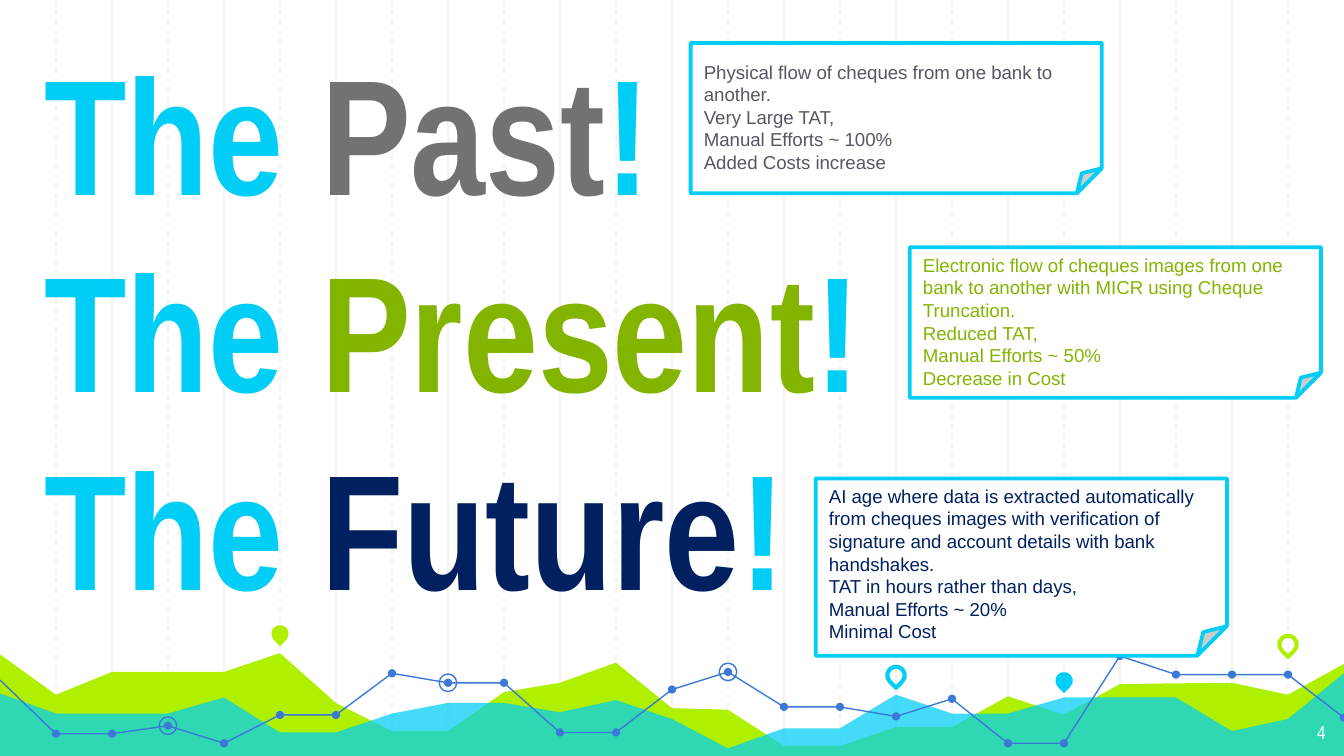
"""Build the Past, Present and Future slide on cheque processing."""
from lxml import etree
from pptx import Presentation
from pptx import util as u
from pptx.dml.color import RGBColor
from pptx.enum import dml, shapes, text
from pptx.oxml.ns import qn

Pt = u.Pt
CYAN, LIME, BLUE, WHITE = "00CEF6", "AFF000", "3C78D8", "FFFFFF"
GRAY, GREEN, NAVY = "727272", "83B400", "002060"
STEP = 30


def paint(fill, color=None):
    if color is None:
        fill.background()
    else:
        fill.solid()
        fill.fore_color.rgb = RGBColor.from_string(color)


def write(p, content, size=10, font="Arial", color=WHITE, bold=False,
          align=text.PP_ALIGN.LEFT, spacing=None):
    p.alignment = align
    if spacing:
        p.line_spacing = Pt(spacing)
    r = p.add_run()
    r.text = content
    r.font.size, r.font.name, r.font.bold = Pt(size), font, bold
    paint(r.font.fill, color)


prs = Presentation()
prs.slide_width, prs.slide_height = Pt(720), Pt(405)
s = prs.slides.add_slide(prs.slide_layouts[5])
paint(s.background.fill, WHITE)

for i in range(1, 24):
    grid = s.shapes.add_connector(shapes.MSO_CONNECTOR.STRAIGHT,
                                  Pt(STEP * i), 0, Pt(STEP * i), Pt(406.8))
    paint(grid.line.fill, "F3F3F3")
    grid.line.width = Pt(0.75)
    if i % 2:
        grid.line.dash_style = dml.MSO_LINE.DASH
    etree.SubElement(grid.element.spPr, qn("a:effectLst"))

lime_heights = [350.6, 372.2, 360, 360, 360, 349.9, 376.6, 391.7, 391.7,
                370.8, 365.8, 355, 379.4, 380.2, 399.6, 399.6, 389.5, 389.5,
                373, 383, 366.5, 366.1, 365.8, 372.2, 355.7]
cyan_heights = [371.5, 382.3, 382.3, 382.3, 373.7, 392.4, 392.4, 382.3, 376.6,
                376.6, 381.6, 375.1, 385.2, 401, 390.2, 390.2, 372.2, 382.3,
                382.3, 373.7, 373.7, 373.7, 391.7, 385.2, 360.7]
line_heights = [364.3, 393.1, 393.1, 388.8, 398.2, 383, 383, 360.7, 365.8,
                365.8, 392.4, 392.4, 369.4, 360, 378.7, 378.7, 383.8, 374.4,
                398.2, 398.2, 351.4, 361.4, 361.4, 361.4, 384.5]

for heights, color, closed in [(lime_heights, LIME, True),
                               (cyan_heights, CYAN, True),
                               (line_heights, BLUE, False)]:
    points = [(Pt(STEP * i), Pt(y)) for i, y in enumerate(heights)]
    if closed:
        points += [(Pt(720), Pt(406.5)), (0, Pt(406.5))]
    outline = s.shapes.build_freeform(*points[0], scale=1.0)
    outline.add_line_segments(points[1:], close=closed)
    sp = outline.convert_to_shape()
    sp.shadow.inherit = False
    paint(sp.fill, color if closed else None)
    paint(sp.line.fill, None if closed else color)
    if not closed:
        sp.line.width = Pt(0.75)
    if color == CYAN:
        rgb = sp.element.spPr.find(".//" + qn("a:srgbClr"))
        etree.SubElement(rgb, qn("a:alpha"), val="73000")

OVAL, PIN = shapes.MSO_SHAPE.OVAL, shapes.MSO_SHAPE.TEAR
markers = [(OVAL, i, y, 4.4, BLUE, None, 0)
           for i, y in enumerate(line_heights) if i]
markers += [(OVAL, i, line_heights[i], 9.4, None, BLUE, 0.75)
            for i in (3, 8, 13)]
markers += [(PIN, 5, 339.5, 9.4, LIME, None, 0),
            (PIN, 16, 361.8, 9.4, None, CYAN, 2.25),
            (PIN, 19, 364.7, 9.4, CYAN, None, 0),
            (PIN, 23, 345.2, 9.4, None, LIME, 2.25)]
for kind, i, y, size, fill, line, width in markers:
    sp = s.shapes.add_shape(kind, Pt(STEP * i - size / 2), Pt(y - size / 2),
                            Pt(size), Pt(size))
    sp.shadow.inherit = False
    paint(sp.fill, fill)
    paint(sp.line.fill, line)
    if line:
        sp.line.width = Pt(width)
    if kind == PIN:
        sp.rotation = 135

title = s.shapes.title
s.shapes.element.append(title.element)
title.left, title.top, title.width, title.height = (
    Pt(16.6), Pt(4.3), Pt(519.1), Pt(337))
tf = title.text_frame
tf.word_wrap, tf.auto_size = True, text.MSO_AUTO_SIZE.NONE
tf.vertical_anchor = text.MSO_ANCHOR.BOTTOM
tf.margin_left = tf.margin_right = tf.margin_top = tf.margin_bottom = Pt(7.2)
p = tf.paragraphs[0]
for n, (era, color) in enumerate([("Past", GRAY), ("Present", GREEN),
                                  ("Future", NAVY)]):
    if n:
        p.add_line_break()
    for part, shade in [("The ", CYAN), (era, color), ("!", CYAN)]:
        write(p, part, size=88, font="Arial Narrow", color=shade, bold=True,
              spacing=106)

number = s.shapes.add_textbox(Pt(674), Pt(380.2), Pt(43.2), Pt(25.2))
tf = number.text_frame
tf.word_wrap = True
tf.margin_left = tf.margin_right = tf.margin_top = tf.margin_bottom = Pt(7.2)
write(tf.paragraphs[0], "4", font="Arial Narrow", align=text.PP_ALIGN.RIGHT)

notes = [
    (370, 23, 80.6, "545864",
     ["Physical flow of cheques from one bank to another.",
      "Very Large TAT,", "Manual Efforts ~ 100%", "Added Costs increase"]),
    (487.4, 132.5, 80.6, GREEN,
     ["Electronic flow of cheques images from one bank to another with MICR "
      "using Cheque Truncation.",
      "Reduced TAT,", "Manual Efforts ~ 50%", "Decrease in Cost"]),
    (437, 256.3, 95, NAVY,
     ["AI age where data is extracted automatically from cheques images with "
      "verification of signature and account details with bank handshakes.",
      "TAT in hours rather than days,", "Manual Efforts ~ 20%",
      "Minimal Cost"]),
]
for left, top, height, color, lines in notes:
    note = s.shapes.add_shape(shapes.MSO_SHAPE.FOLDED_CORNER, Pt(left), Pt(top),
                              Pt(220.3), Pt(height))
    note.shadow.inherit = False
    paint(note.fill, WHITE)
    paint(note.line.fill, CYAN)
    note.line.width = Pt(2)
    tf = note.text_frame
    tf.word_wrap, tf.vertical_anchor = True, text.MSO_ANCHOR.MIDDLE
    tf.margin_left = tf.margin_right = Pt(7.2)
    tf.margin_top, tf.margin_bottom = Pt(12), 0
    for n, content in enumerate(lines):
        p = tf.add_paragraph() if n else tf.paragraphs[0]
        write(p, content, color=color, spacing=12.1)

prs.save("out.pptx")
